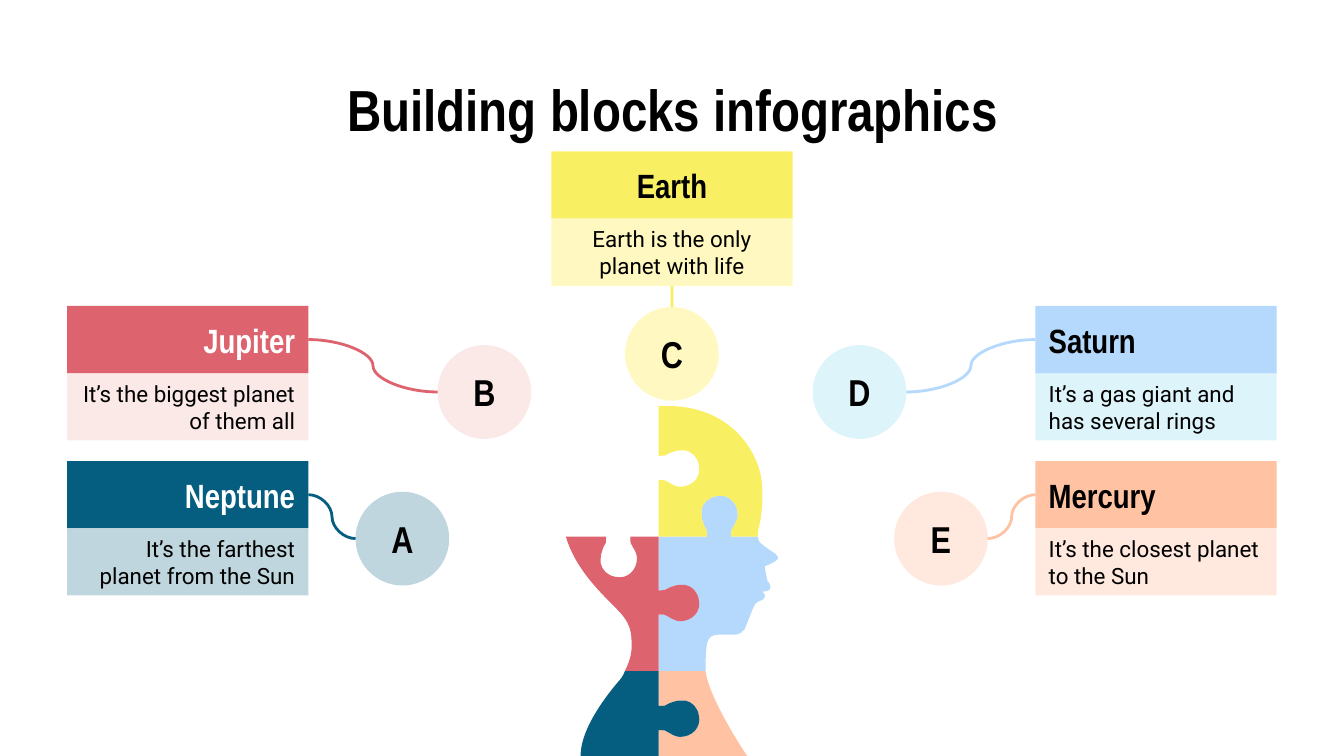
from lxml.etree import SubElement
from pptx import Presentation
from pptx.dml.color import RGBColor
from pptx.enum.shapes import MSO_CONNECTOR, MSO_SHAPE
from pptx.enum.text import MSO_ANCHOR, MSO_AUTO_SIZE, PP_ALIGN
from pptx.oxml.ns import qn
from pptx.util import Cm, Pt

BLACK = RGBColor(0x00, 0x00, 0x00)
WHITE = RGBColor(0xFF, 0xFF, 0xFF)
TEAL = RGBColor(0x05, 0x5E, 0x7F)
RED = RGBColor(0xDD, 0x63, 0x6E)
WARM_RED = RGBColor(0xE2, 0x56, 0x4E)
YELLOW = RGBColor(0xF9, 0xEF, 0x63)
PALE_YELLOW = RGBColor(0xFF, 0xF9, 0xC1)
BLUE = RGBColor(0xB4, 0xD9, 0xFC)
CYAN = RGBColor(0x02, 0xAB, 0xE4)
PEACH = RGBColor(0xFF, 0xC2, 0xA3)

HEADING_FONT, BODY_FONT = "Arial Narrow", "Roboto"
SLIDE_WIDTH, SLIDE_HEIGHT = 25.4, 14.28
MARGIN, BOX_WIDTH, BAND_HEIGHT, CIRCLE = 1.27, 4.56, 1.27, 1.77
RIGHT_BOX = SLIDE_WIDTH - MARGIN - BOX_WIDTH
MIDDLE_BOX = (SLIDE_WIDTH - BOX_WIDTH) / 2
UPPER_ROW, LOWER_ROW = 5.78, 8.71

# Head outline: one grid unit is 2.54 cm
GRID = 2.54
SEAM, BROW, NECK, BOTTOM = 4.9, 3.99, 4.99, SLIDE_HEIGHT / GRID

# Chains of cubic Bezier curves: a start, then two controls and an end per curve.
# The knob is given as (distance along, distance across).
KNOB = [(0, -0.09), (0.04, -0.09), (0.06, -0.09), (0.08, -0.11),
        (0.11, -0.12), (0.13, -0.13), (0.16, -0.13),
        (0.18, -0.13), (0.19, -0.13), (0.2, -0.13),
        (0.25, -0.12), (0.29, -0.08), (0.3, -0.02),
        (0.32, 0.07), (0.25, 0.14), (0.16, 0.14),
        (0.14, 0.14), (0.11, 0.13), (0.08, 0.11),
        (0.06, 0.09), (0.04, 0.09), (0, 0.09)]

SKULL = [(4.9, 3.02), (4.92, 3.02), (4.95, 3.02), (4.97, 3.02),
         (5.45, 3.02), (5.66, 3.38), (5.67, 3.61),
         (5.68, 3.76), (5.66, 3.87), (5.64, 3.95),
         (5.64, 3.96), (5.64, 3.98), (5.64, 3.99)]

PROFILE = [(5.64, 3.99), (5.64, 4.01), (5.64, 4.02), (5.66, 4.04),
           (5.73, 4.1), (5.79, 4.12), (5.79, 4.15),
           (5.78, 4.18), (5.69, 4.21), (5.69, 4.21),
           (5.69, 4.21), (5.7, 4.28), (5.71, 4.32),
           (5.72, 4.33), (5.74, 4.36), (5.73, 4.38),
           (5.72, 4.4), (5.67, 4.4), (5.67, 4.4),
           (5.67, 4.4), (5.7, 4.42), (5.69, 4.44),
           (5.68, 4.47), (5.65, 4.46), (5.62, 4.49),
           (5.6, 4.52), (5.55, 4.66), (5.54, 4.68),
           (5.52, 4.7), (5.51, 4.72), (5.45, 4.72),
           (5.45, 4.72), (5.44, 4.72), (5.43, 4.72),
           (5.4, 4.72), (5.36, 4.72), (5.34, 4.72),
           (5.31, 4.72), (5.27, 4.73), (5.26, 4.79),
           (5.25, 4.84), (5.25, 4.95), (5.25, 4.95),
           (5.25, 4.96), (5.25, 4.98), (5.25, 4.99)]

NAPE = [(4.21, 3.99), (4.28, 4.22), (4.44, 4.38), (4.59, 4.53),
        (4.7, 4.64), (4.7, 4.71), (4.7, 4.81),
        (4.7, 4.87), (4.68, 4.93), (4.65, 4.99)]

BACK = [(4.65, 4.99), (4.64, 5.02), (4.62, 5.05), (4.6, 5.07),
        (4.49, 5.2), (4.32, 5.43), (4.32, BOTTOM)]

CHEST = [(5.56, BOTTOM), (5.56, BOTTOM), (5.28, 5.21), (5.25, 4.99)]


def knob(x, y, along_x, along_y):
    """Place a knob at the middle of its base, pointing the given way."""
    return [(x + along * along_x + across * abs(along_y),
             y + along * along_y + across * abs(along_x)) for along, across in KNOB]


def style_shape(shape, color, opacity=None):
    shape.shadow.inherit = False
    shape.fill.solid()
    shape.fill.fore_color.rgb = color
    shape.line.fill.background()
    if opacity:
        color_element = shape._element.spPr.find(qn("a:solidFill"))[0]
        SubElement(color_element, qn("a:alpha")).set("val", str(opacity * 1000))


def write_text(shape, text, size, font=HEADING_FONT, color=BLACK,
               align=PP_ALIGN.CENTER, anchor=MSO_ANCHOR.MIDDLE):
    frame = shape.text_frame
    frame.text = text
    frame.word_wrap = True
    frame.auto_size = MSO_AUTO_SIZE.NONE
    frame.vertical_anchor = anchor
    frame.margin_left = frame.margin_right = frame.margin_top = frame.margin_bottom = Cm(0.25)
    paragraph = frame.paragraphs[0]
    paragraph.alignment = align
    run_font = paragraph.runs[0].font
    run_font.name, run_font.size, run_font.color.rgb = font, Pt(size), color
    run_font.bold = font == HEADING_FONT


def add_title(slide, text):
    title = slide.shapes.title
    title.left, title.top, title.width, title.height = Cm(MARGIN), Cm(1.14), Cm(22.88), Cm(1.85)
    write_text(title, text, 31, anchor=MSO_ANCHOR.TOP)


def add_circle(slide, letter, left, top, tint):
    circle = slide.shapes.add_shape(MSO_SHAPE.OVAL, Cm(left), Cm(top), Cm(CIRCLE), Cm(CIRCLE))
    style_shape(circle, *tint)
    write_text(circle, letter, 20)


def add_band(slide, left, top, fill, text, **text_style):
    band = slide.shapes.add_shape(MSO_SHAPE.RECTANGLE, Cm(left), Cm(top), Cm(BOX_WIDTH), Cm(BAND_HEIGHT))
    style_shape(band, *fill)
    write_text(band, text, **text_style)
    return band


def add_connector(slide, kind, start, end, color):
    connector = slide.shapes.add_connector(kind, *(Cm(value) for value in start + end))
    connector.line.color.rgb = color
    connector.line.width = Pt(1.5)
    SubElement(connector._element.spPr, qn("a:effectLst"))
    return connector


def add_piece(slide, color, *chains):
    """Draw chains of curves, with straight lines from one chain to the next."""
    corners = [(Cm(x * GRID), Cm(y * GRID)) for chain in chains for x, y in chain]
    builder = slide.shapes.build_freeform(*corners[0], scale=1.0)
    builder.add_line_segments(corners[1:], close=True)
    piece = builder.convert_to_shape()
    style_shape(piece, color)

    # Join each three line steps of a chain into one curve step
    outline = next(piece._element.spPr.iter(qn("a:path")))
    steps = list(outline)
    start = 0
    for chain in chains:
        for first in range(start + 1, start + len(chain), 3):
            curve = SubElement(outline, qn("a:cubicBezTo"))
            steps[first].addprevious(curve)
            for step in steps[first:first + 3]:
                curve.append(step[0])
                outline.remove(step)
        start += len(chain)


def add_head(slide):
    brow_knob = knob(5.35, BROW, 0, -1)
    nape_socket = knob(4.6, BROW, 0, 1)
    crown_knob, face_knob, chest_knob = (knob(SEAM, y, 1, 0) for y in (3.48, 4.48, 5.34))
    brow, neck, bottom = ([(SEAM, y)] for y in (BROW, NECK, BOTTOM))
    add_piece(slide, BLUE, brow, brow_knob, PROFILE, neck, face_knob[::-1])
    add_piece(slide, RED, brow, face_knob, neck, NAPE[::-1], nape_socket)
    add_piece(slide, YELLOW, SKULL, brow_knob[::-1], brow, crown_knob[::-1])
    add_piece(slide, PEACH, neck, chest_knob, bottom, CHEST)
    add_piece(slide, TEAL, neck, chest_knob, bottom, BACK[::-1])


def add_topic(slide, letter, name, text, box, circle, color, tint, align, name_color=BLACK):
    """Add a two-band box, its lettered circle and the line between them."""
    left, top = box
    circle_left, circle_top = circle
    add_circle(slide, letter, circle_left, circle_top, tint)
    add_band(slide, left, top, (color,), name, size=18, color=name_color, align=align)
    lower = add_band(slide, left, top + BAND_HEIGHT, tint, text, size=12, font=BODY_FONT, align=align)
    if align == PP_ALIGN.CENTER:
        middle = SLIDE_WIDTH / 2
        connector = add_connector(slide, MSO_CONNECTOR.STRAIGHT, (middle, top + 2 * BAND_HEIGHT),
                                  (middle, circle_top), color)
        connector.begin_connect(lower, 2)
        return
    if left < circle_left:
        start_x, end_x = left + BOX_WIDTH, circle_left
    else:
        start_x, end_x = left, circle_left + CIRCLE
    add_connector(slide, MSO_CONNECTOR.CURVE, (start_x, top + BAND_HEIGHT / 2),
                  (end_x, circle_top + CIRCLE / 2), color)


def main():
    presentation = Presentation()
    presentation.slide_width, presentation.slide_height = Cm(SLIDE_WIDTH), Cm(SLIDE_HEIGHT)
    slide = presentation.slides.add_slide(presentation.slide_layouts[5])

    add_title(slide, "Building blocks infographics")
    add_head(slide)

    # Topics around the head
    add_topic(slide, "A", "Neptune", "It’s the farthest planet from the Sun", (MARGIN, LOWER_ROW),
              (6.72, 9.29), TEAL, (TEAL, 25), PP_ALIGN.RIGHT, WHITE)
    add_topic(slide, "B", "Jupiter", "It’s the biggest planet of them all", (MARGIN, UPPER_ROW),
              (8.27, 6.52), RED, (WARM_RED, 13), PP_ALIGN.RIGHT, WHITE)
    add_topic(slide, "C", "Earth", "Earth is the only planet with life", (MIDDLE_BOX, 2.86),
              ((SLIDE_WIDTH - CIRCLE) / 2, 5.8), YELLOW, (PALE_YELLOW,), PP_ALIGN.CENTER)
    add_topic(slide, "D", "Saturn", "It’s a gas giant and has several rings", (RIGHT_BOX, UPPER_ROW),
              (15.36, 6.52), BLUE, (CYAN, 13), PP_ALIGN.LEFT)
    add_topic(slide, "E", "Mercury", "It’s the closest planet to the Sun", (RIGHT_BOX, LOWER_ROW),
              (16.9, 9.29), PEACH, (PEACH, 37), PP_ALIGN.LEFT)

    presentation.save("out.pptx")


if __name__ == "__main__":
    main()
